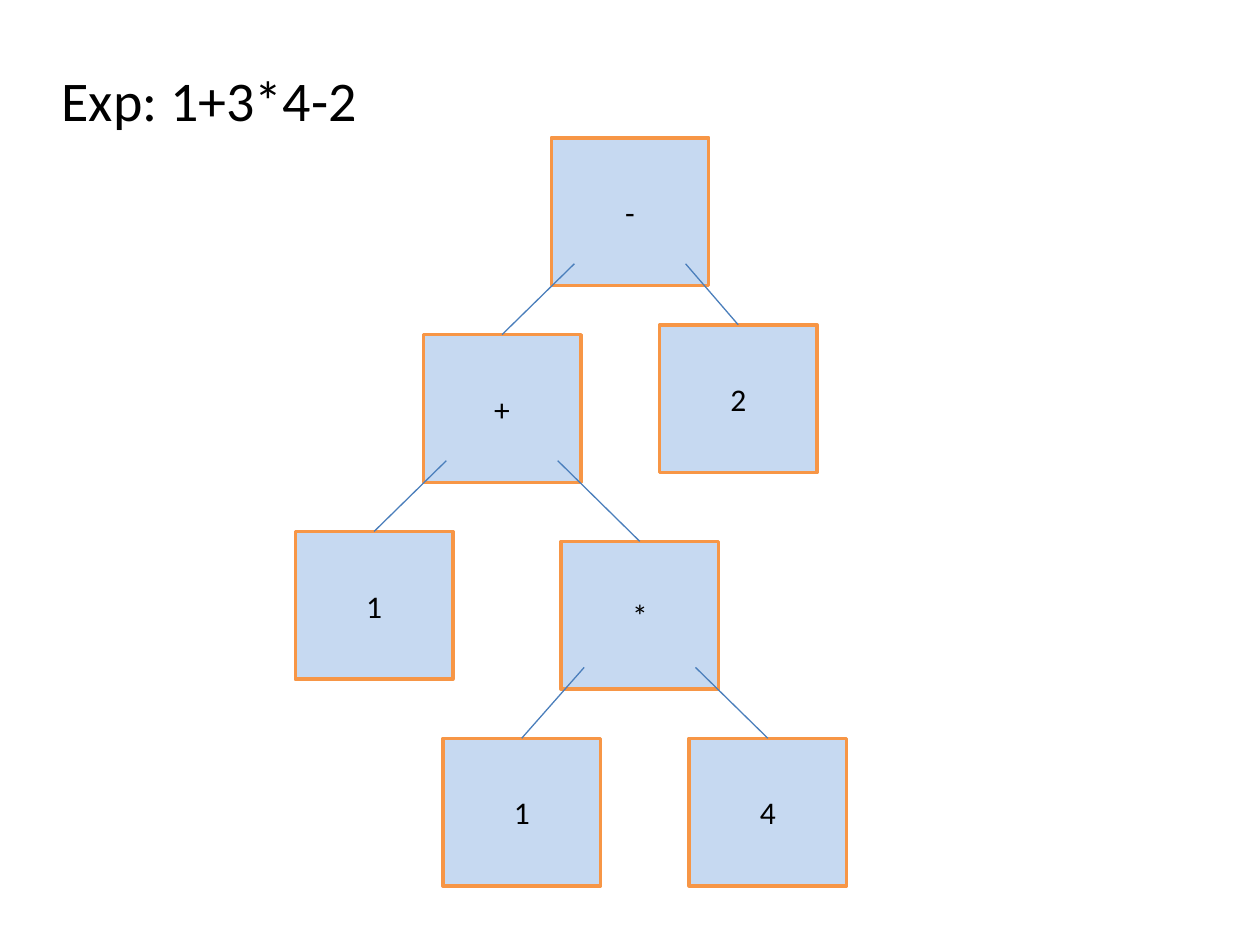
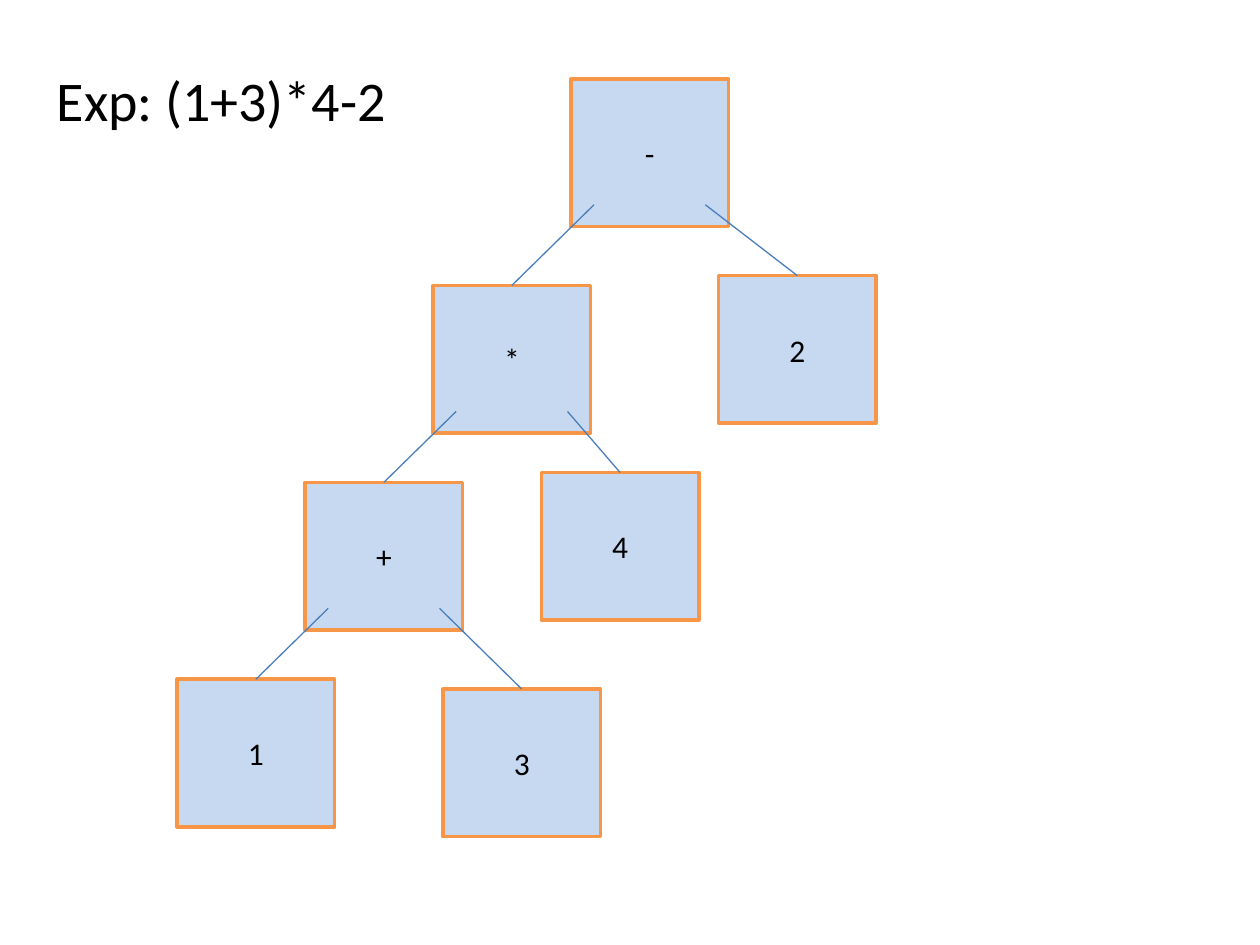
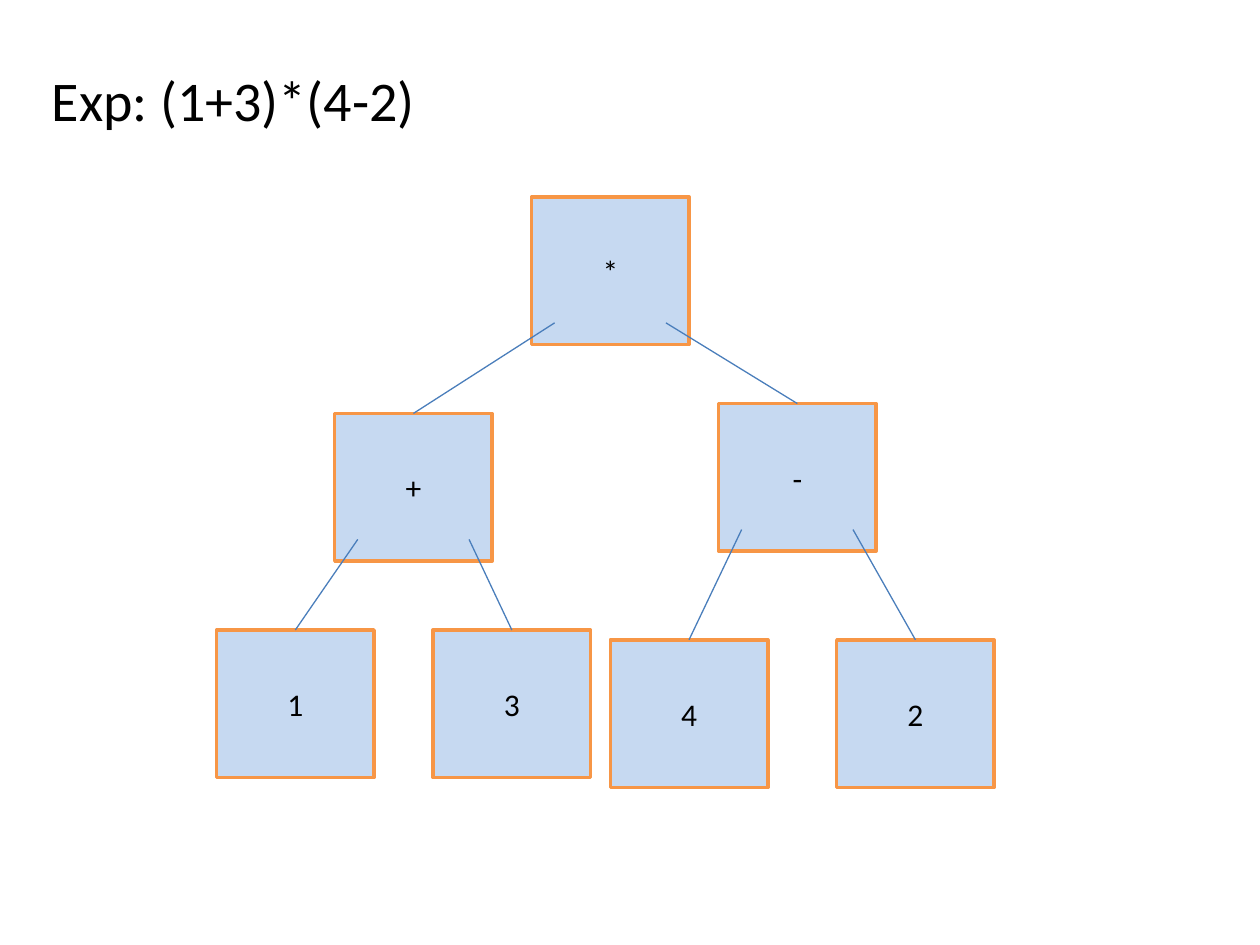
import pptx
import pptx.util
import pptx.dml.color
import pptx.enum.shapes
import pptx.enum.text
import pptx.oxml.ns
import lxml.etree

Pt = pptx.util.Pt
ALIGN = pptx.enum.text.PP_ALIGN
ANCHOR = pptx.enum.text.MSO_ANCHOR

COLORS = {"node": "C6D9F1", "border": "F79646", "edge": "4A7EBB", "text": "000000"}
FONT = "Calibri"
SLIDE_W, SLIDE_H = 720, 540
GRID = SLIDE_W / 128
NODE_W, NODE_H = 16 * GRID, 15 * GRID
EDGE_INSET, EDGE_Y = 13.2, 72
TITLE_TOP, TITLE_H = 6 * GRID, 45

TITLE_TEXT = {"size": Pt(32), "name": FONT}
NODE_TEXT = {"size": Pt(18), "name": FONT}
NODE_FRAME = {"word_wrap": True, "vertical_anchor": ANCHOR.MIDDLE}
TITLE_FRAME = {"word_wrap": False, "vertical_anchor": ANCHOR.TOP}


def leaf(text, dx, dy):
    return text, dx, dy, ()


SLIDES = [
    ("Exp: 1+3*4-2", (5 * GRID, 231), ("-", 56, 14, (
        ("+", -13, 20, (
            leaf("1", -13, 20),
            ("*", 14, 21, (leaf("1", -12, 20), leaf("4", 13, 20))))),
        leaf("2", 11, 19)))),
    ("Exp: (1+3)*4-2", (4.5 * GRID, 255.6), ("-", 58, 8, (
        ("*", -14, 21, (
            ("+", -13, 20, (leaf("1", -13, 20), leaf("3", 14, 21))),
            leaf("4", 11, 19))),
        leaf("2", 15, 20)))),
    ("Exp: (1+3)*(4-2)", (4 * GRID, 281), ("*", 54, 20, (
        ("+", -20, 22, (leaf("1", -12, 22), leaf("3", 10, 22))),
        ("-", 19, 21, (leaf("4", -11, 24), leaf("2", 12, 24)))))),
]


def rgb(key):
    return pptx.dml.color.RGBColor.from_string(COLORS[key])


def apply_format(target, values):
    for name, value in values.items():
        setattr(target, name, value)


def write_text(sp, text, frame, font, align):
    tf = sp.text_frame
    apply_format(tf, frame)
    p = tf.paragraphs[0]
    p.alignment = align
    r = p.add_run()
    r.text = text
    apply_format(r.font, font)
    r.font.color.rgb = rgb("text")


def set_line(line, key, width):
    line.color.rgb = rgb(key)
    line.width = Pt(width)


def add_title(s, text, left, width):
    sp = s.shapes.add_textbox(Pt(left), Pt(TITLE_TOP), Pt(width), Pt(TITLE_H))
    write_text(sp, text, TITLE_FRAME, TITLE_TEXT, ALIGN.LEFT)


def add_node(s, text, x, y):
    sp = s.shapes.add_shape(pptx.enum.shapes.MSO_SHAPE.RECTANGLE,
                            Pt(x), Pt(y), Pt(NODE_W), Pt(NODE_H))
    sp.shadow.inherit = False
    sp.fill.solid()
    sp.fill.fore_color.rgb = rgb("node")
    set_line(sp.line, "border", 2)
    write_text(sp, text, NODE_FRAME, NODE_TEXT, ALIGN.CENTER)


def add_edge(s, x1, y1, x2, y2):
    sp = s.shapes.add_connector(pptx.enum.shapes.MSO_CONNECTOR.STRAIGHT,
                                Pt(x1), Pt(y1), Pt(x2), Pt(y2))
    set_line(sp.line, "edge", 0.75)
    lxml.etree.SubElement(sp._element.spPr, pptx.oxml.ns.qn("a:effectLst"))


def add_tree(s, node, origin_x=0, origin_y=0):
    text, dx, dy, children = node
    x, y = origin_x + dx * GRID, origin_y + dy * GRID
    add_node(s, text, x, y)
    for child, inset in zip(children, (EDGE_INSET, NODE_W - EDGE_INSET)):
        child_x, child_y = add_tree(s, child, x, y)
        add_edge(s, x + inset, y + EDGE_Y, child_x + NODE_W / 2, child_y)
    return x, y


def main():
    prs = pptx.Presentation()
    prs.slide_width, prs.slide_height = Pt(SLIDE_W), Pt(SLIDE_H)
    for title, title_box, tree in SLIDES:
        s = prs.slides.add_slide(prs.slide_layouts[6])
        add_tree(s, tree)
        add_title(s, title, *title_box)
    prs.save("out.pptx")


if __name__ == "__main__":
    main()
